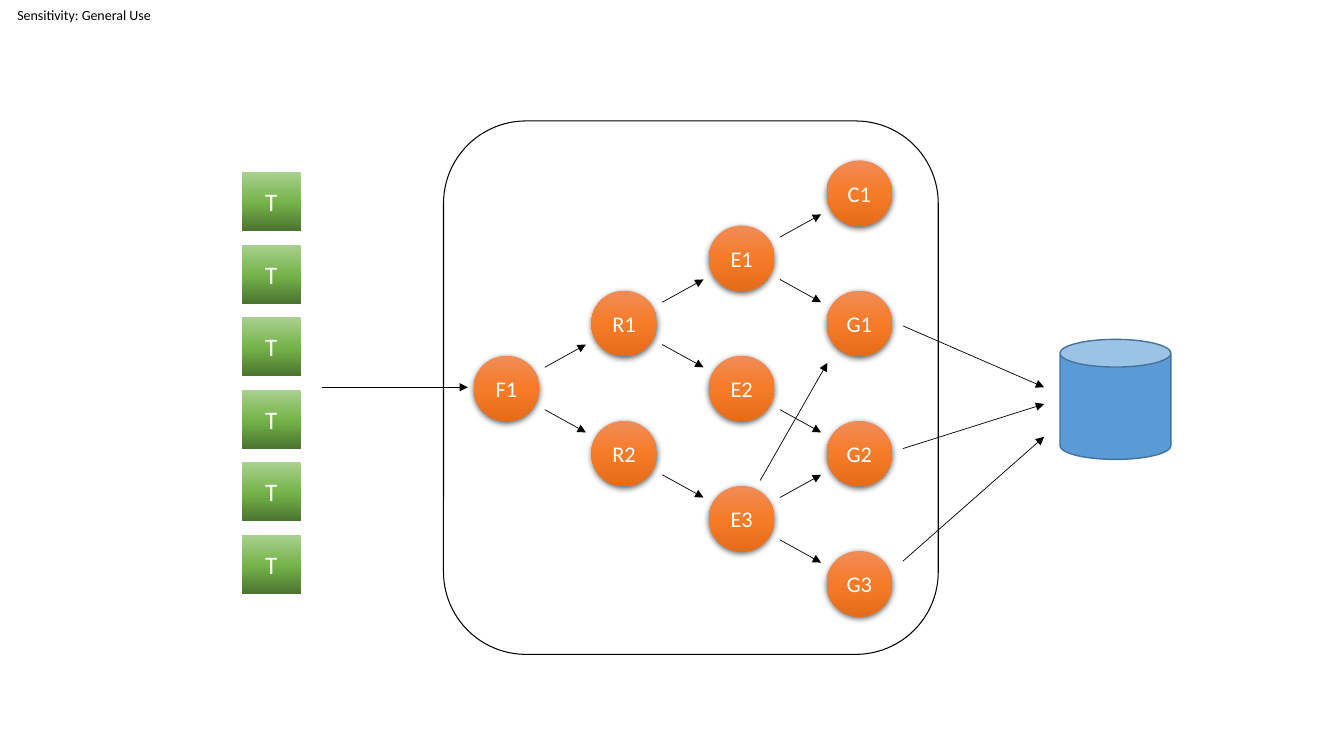
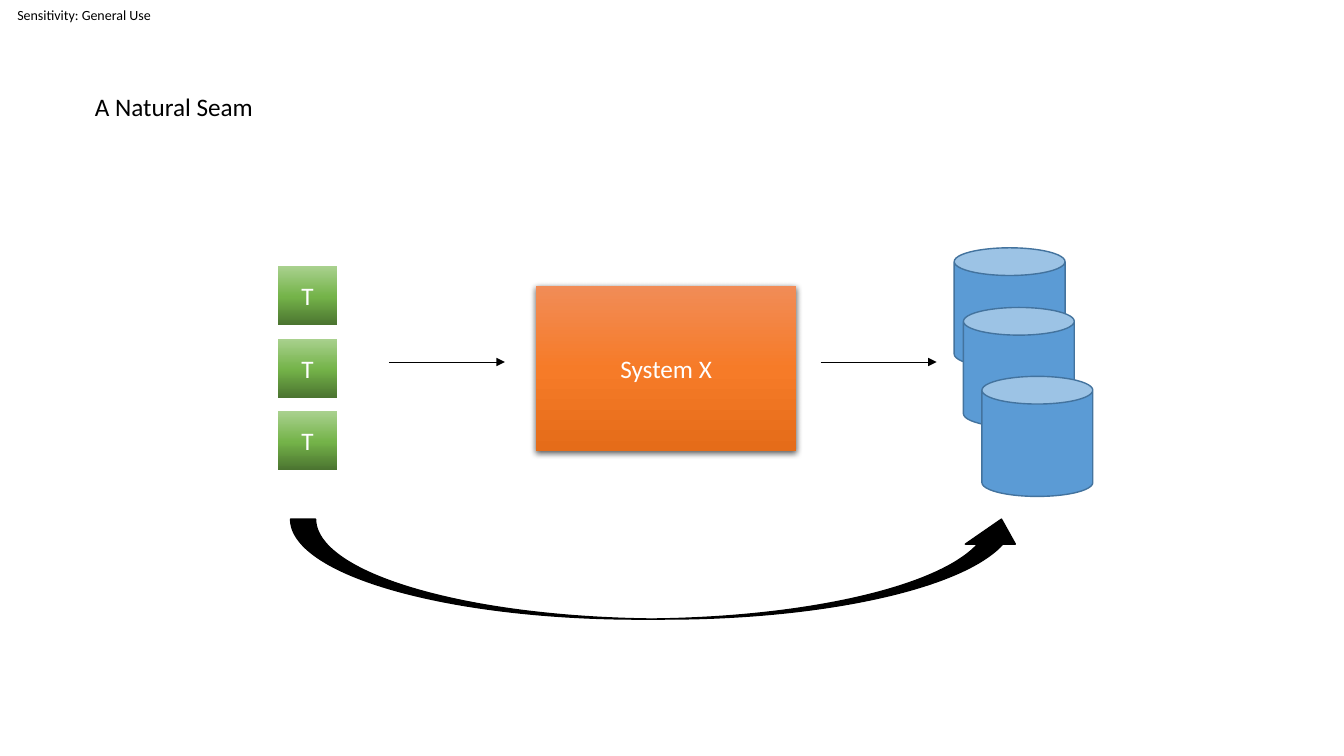
from copy import deepcopy
from math import hypot

from lxml import etree
from pptx import Presentation
from pptx import util as u
from pptx.dml.color import RGBColor
from pptx.enum import shapes, text
from pptx.oxml.ns import qn

COLUMNS, ROWS = 160, 90
CELL = u.Inches(7.5) / ROWS
FONT = "Calibri"
BLACK, WHITE = "000000", "FFFFFF"
BLUE, BLUE_EDGE = "5B9BD5", "43739E"
ORANGE = [(0, "F18C57"), (0.5, "F67B28"), (1, "E56C19")]
GREEN = [(0, "A9D18E"), (0.52, "74B349"), (1, "4B7430")]
SHAPE = shapes.MSO_SHAPE


def cells(*counts):
    """Turn grid cells into slide lengths."""
    return [u.Emu(round(count * CELL)) for count in counts]


def color(value):
    """Turn a hex string into a colour."""
    return RGBColor.from_string(value)


def child(parent, tag, **attributes):
    """Append a drawing element and return it."""
    return etree.SubElement(parent, qn(tag), attributes)


def write(shape, words, size=18, ink=BLACK, align=text.PP_ALIGN.CENTER,
          anchor=text.MSO_ANCHOR.MIDDLE, wrap=True, margin=0):
    """Set one formatted line of text in a shape."""
    frame = shape.text_frame
    frame.word_wrap = wrap
    frame.vertical_anchor = anchor
    frame.margin_left = frame.margin_right = u.Inches(margin)
    frame.margin_top = frame.margin_bottom = u.Inches(margin / 2)
    para = frame.paragraphs[0]
    para.alignment = align
    span = para.add_run()
    span.text = words
    span.font.name = FONT
    span.font.size = u.Pt(size)
    span.font.color.rgb = color(ink)


def shade(shape, stops):
    """Fill a shape with a three-stop gradient from top to bottom."""
    shape.fill.gradient()
    stop_list = shape.fill._xPr.find(qn("a:gradFill")).find(qn("a:gsLst"))
    stop_list.append(deepcopy(stop_list[0]))
    for stop, (position, value) in zip(shape.fill.gradient_stops, stops):
        stop.position = position
        stop.color.rgb = color(value)
    shape.fill.gradient_angle = 270


def drop_shadow(shape):
    """Give a shape a soft shadow below it."""
    effects = shape._element.spPr.find(qn("a:effectLst"))
    shadow = child(effects, "a:outerShdw", blurRad=str(u.Pt(4.5)),
                   dist=str(u.Pt(1.5)), dir="5400000", algn="ctr",
                   rotWithShape="0")
    ink = child(shadow, "a:srgbClr", val=BLACK)
    child(ink, "a:alpha", val="63000")


class Diagram:
    """Draws the deck's elements on the current page."""

    def __init__(self):
        self.deck = Presentation()
        self.deck.slide_width, self.deck.slide_height = cells(COLUMNS, ROWS)
        self.page = None

    def new_page(self):
        """Start a page with the sensitivity label."""
        self.page = self.deck.slides.add_slide(self.deck.slide_layouts[6])
        self.label(0, 0, 20, 3.5, "Sensitivity: General Use", size=10)

    def label(self, left, top, width, height, words, **style):
        """Add a text box."""
        box = self.page.shapes.add_textbox(*cells(left, top, width, height))
        write(box, words, **style)

    def shape(self, kind, left, top, width, height, fill=None, edge=None,
              weight=1):
        """Add a preset shape with a plain or gradient fill."""
        shape = self.page.shapes.add_shape(
            kind, *cells(left, top, width, height))
        shape.shadow.inherit = False
        if fill is None:
            shape.fill.background()
        elif isinstance(fill, str):
            shape.fill.solid()
            shape.fill.fore_color.rgb = color(fill)
        else:
            shade(shape, fill)
        if edge:
            shape.line.color.rgb = color(edge)
            shape.line.width = u.Pt(weight)
        else:
            shape.line.fill.background()
        return shape

    def system(self, kind, left, top, width, height, words, size):
        """Add an orange part with a shadow."""
        part = self.shape(kind, left, top, width, height, ORANGE)
        drop_shadow(part)
        write(part, words, size=size, ink=WHITE)

    def tables(self, left, top, count):
        """Stack green T squares at an even pitch."""
        for index in range(count):
            square = self.shape(SHAPE.RECTANGLE, left, top + 8.64 * index,
                                7, 7, GREEN)
            write(square, "T", ink=WHITE)

    def database(self, left, top):
        """Add a blue cylinder."""
        self.shape(SHAPE.CAN, left, top, 13.2, 14.3, BLUE, BLUE_EDGE)

    def arrow(self, start, end):
        """Draw a thin arrow between two points."""
        line = self.page.shapes.add_connector(
            shapes.MSO_CONNECTOR.STRAIGHT, *cells(*start, *end))
        line.line.color.rgb = color(BLACK)
        line.line.width = u.Pt(0.5)
        child(line.line._get_or_add_ln(), "a:tailEnd", type="triangle")
        child(line._element.spPr, "a:effectLst")

    def link(self, start, end, gap=5.2):
        """Draw an arrow between two centres, stopping short of both."""
        across, down = end[0] - start[0], end[1] - start[1]
        share = gap / hypot(across, down)
        step_x, step_y = across * share, down * share
        self.arrow((start[0] + step_x, start[1] + step_y),
                   (end[0] - step_x, end[1] - step_y))


def flow_page(diagram):
    """Tables feed a network of nodes that writes to a database."""
    diagram.new_page()
    diagram.shape(SHAPE.ROUNDED_RECTANGLE, 52.8, 14.4, 58.9, 63.5,
                  edge=BLACK, weight=0.75)
    node_size = 7.8
    nodes = {"F1": (0, 3), "R1": (1, 2), "R2": (1, 4), "E1": (2, 1),
             "E2": (2, 3), "E3": (2, 5), "C1": (3, 0), "G1": (3, 2),
             "G2": (3, 4), "G3": (3, 6)}
    centres = {}
    for name, (column, row) in nodes.items():
        left, top = 56.4 + 14 * column, 19.1 + 7.75 * row
        diagram.system(SHAPE.OVAL, left, top, node_size, node_size, name, 16)
        centres[name] = (left + node_size / 2, top + node_size / 2)
    for pair in ("F1 R1", "F1 R2", "R1 E1", "R1 E2", "R2 E3", "E1 C1",
                 "E1 G1", "E2 G2", "E3 G2", "E3 G3"):
        start, end = pair.split()
        diagram.link(centres[start], centres[end])
    diagram.arrow((90.5, 57.2), (98.5, 43.2))
    diagram.database(126.2, 40.4)
    diagram.tables(28.8, 20.5, 6)
    diagram.arrow((38.3, 46.1), (55.7, 46.1))
    for start_y, end_y in ((38.8, 46.1), (53.4, 48.1), (66.8, 52)):
        diagram.arrow((107.5, start_y), (124.3, end_y))


def seam_page(diagram):
    """Tables and databases joined around one system."""
    diagram.new_page()
    diagram.label(10.1, 10.3, 21.5, 4.8, "A Natural Seam", wrap=False,
                  align=text.PP_ALIGN.LEFT, anchor=text.MSO_ANCHOR.TOP,
                  margin=0.1)
    diagram.system(SHAPE.RECTANGLE, 63.8, 34, 31, 19.7, "System X", 18)
    for left, top in ((113.6, 29.5), (114.7, 36.6), (116.9, 44.8)):
        diagram.database(left, top)
    diagram.tables(33.1, 31.7, 3)
    diagram.shape(SHAPE.CURVED_UP_ARROW, 34.6, 61.8, 87.6, 11.9, BLACK, BLACK)
    for left in (46.3, 97.7):
        diagram.arrow((left, 43.1), (left + 13.8, 43.1))


diagram = Diagram()
flow_page(diagram)
seam_page(diagram)
diagram.deck.save("out.pptx")
